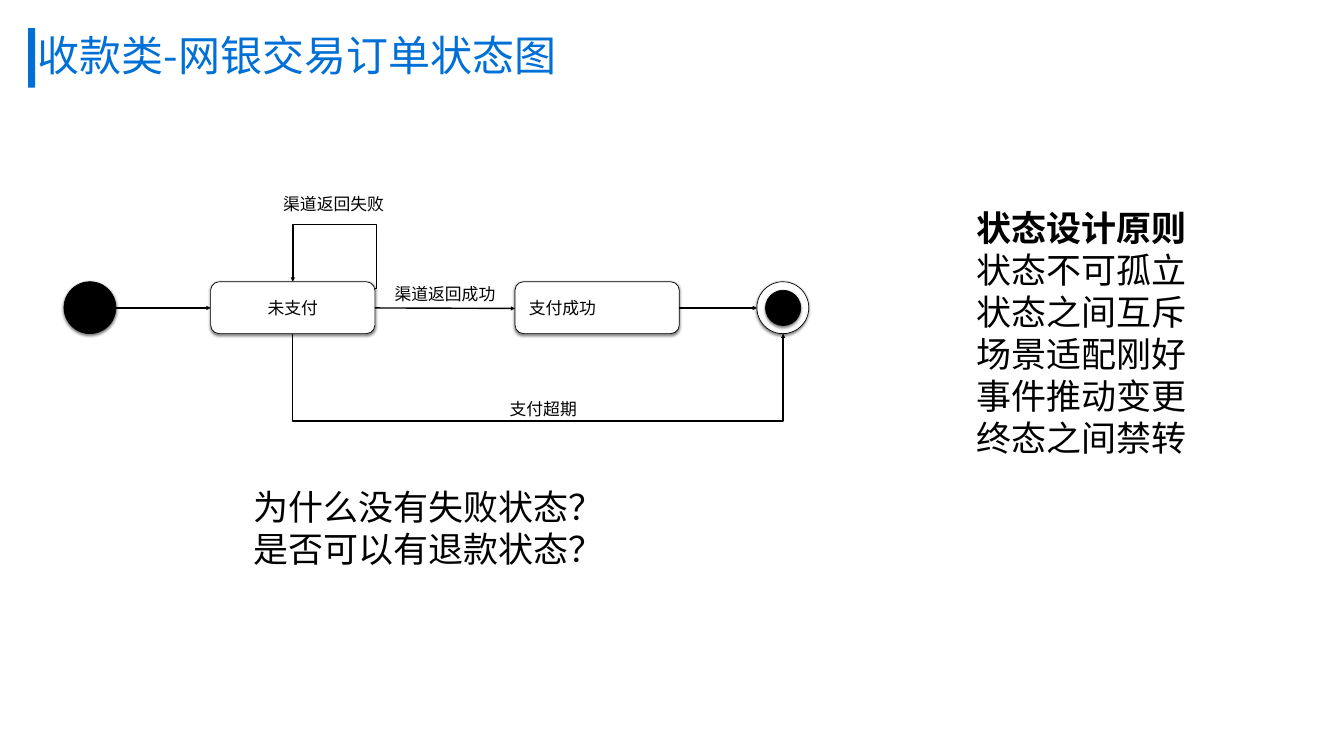
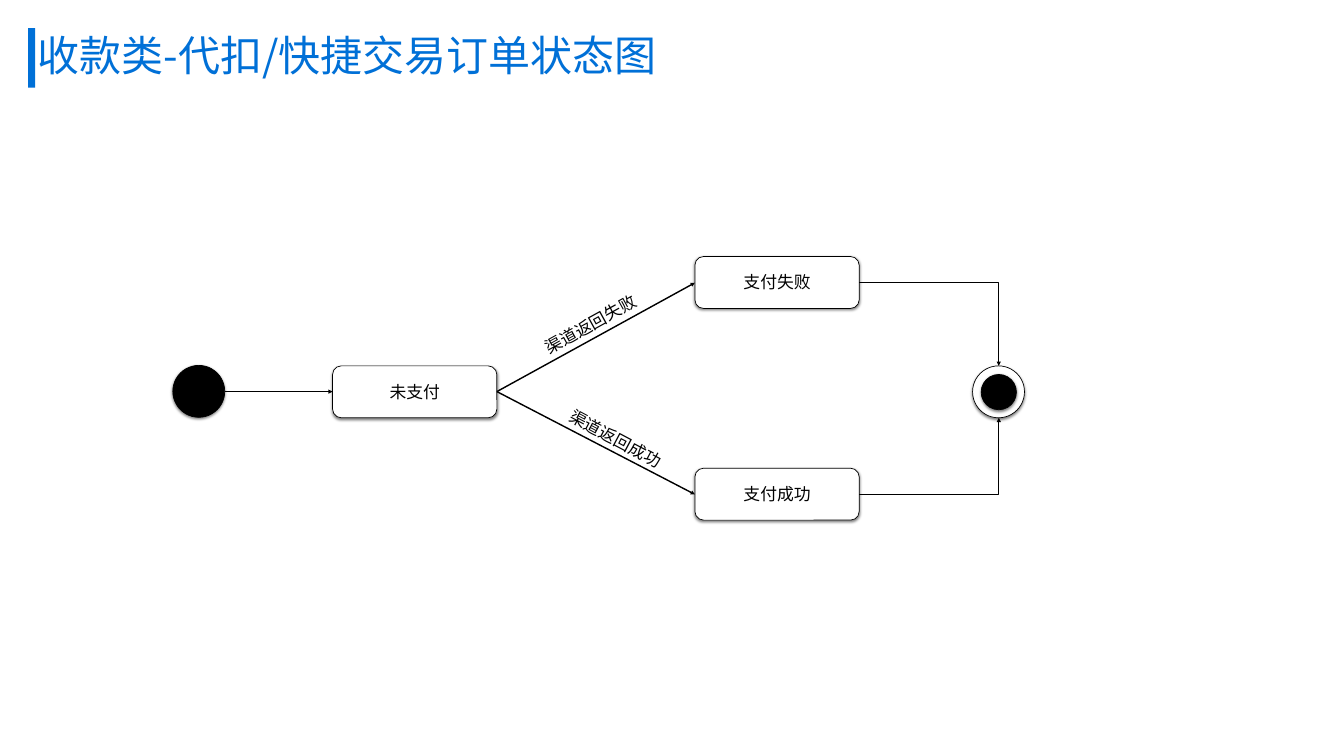
"""Builds two slides of payment order state diagrams."""
import pptx
import pptx.dml.color
import pptx.enum.shapes
import pptx.enum.text
import pptx.oxml
import pptx.oxml.ns
import pptx.util
from dataclasses import dataclass

PX = 9144
SHAPE = pptx.enum.shapes.MSO_SHAPE
CONNECTOR = pptx.enum.shapes.MSO_CONNECTOR
ANCHOR = pptx.enum.text.MSO_ANCHOR
ALIGN = pptx.enum.text.PP_ALIGN
qn = pptx.oxml.ns.qn


@dataclass(frozen=True)
class Theme:
    font: str = "Noto Sans CJK SC"
    accent: str = "0070D7"
    ink: str = "000000"
    paper: str = "FFFFFF"
    title: int = 60
    body: int = 50
    label: int = 24
    outline: int = 1
    arrow: int = 2


THEME = Theme()
SLIDE_SIZE = (2667, 1500)
BAR = (56, 56, 14, 118)
STATE_W, NODE_H, LABEL_H = 326, 103, 56
CORE = 70

SLIDES = [
    dict(
        title="收款类-网银交易订单状态图", title_w=1066,
        body=["状态设计原则", "状态不可孤立", "状态之间互斥", "场景适配刚好", "事件推动变更", "终态之间禁转"],
        body_box=(1855, 405, 584, 515),
        questions=["为什么没有失败状态？", "是否可以有退款状态？"],
        questions_box=(495, 955, 729, 184),
        states=[("未支付", 418, 559, 0), ("支付成功", 1022, 559, -69)],
        start=(127, 559), end=(1502, 559),
        arrows=[(744, 611, 1022, 612), (230, 611, 418, 611), (1348, 611, 1502, 611)],
        elbows=[
            dict(ends=(1068, 1149, 1067, 176), kind="bentConnector3", turn=90, adj=[-175]),
            dict(ends=(581, 559, 744, 573), kind="bentConnector4", turn=180, adj=[-0.02, 9.07]),
        ],
        labels=[("渠道返回成功", 720, 554, 0), ("支付超期", 915, 783, 0), ("渠道返回失败", 499, 377, 0)],
    ),
    dict(
        title="收款类-代扣/快捷交易订单状态图", title_w=1271,
        states=[("未支付", 660, 726, 0), ("支付成功", 1379, 929, 0), ("支付失败", 1379, 509, 0)],
        start=(343, 725), end=(1930, 726),
        arrows=[(446, 777, 660, 777), (986, 777, 1379, 561), (986, 777, 1379, 981)],
        elbows=[
            dict(ends=(1705, 561, 1982, 726), kind="bentConnector2"),
            dict(ends=(1705, 981, 1982, 829), kind="bentConnector2"),
        ],
        labels=[("渠道返回成功", 1059, 842, 27.9), ("渠道返回失败", 1009, 615, 331.1)],
    ),
]


def emu(values):
    return [pptx.util.Emu(v * PX) for v in values]


def rgb(value):
    return pptx.dml.color.RGBColor.from_string(value)


def xml(tag, **attrs):
    el = pptx.oxml.parse_xml(f'<{tag} {pptx.oxml.ns.nsdecls("a")}/>')
    for key, value in attrs.items():
        el.set(key, str(value))
    return el


def place(sp, box):
    sp.left, sp.top, sp.width, sp.height = emu(box)


def write(sp, lines, size, color=THEME.ink, align=ALIGN.LEFT, anchor=ANCHOR.TOP,
          inset=(8, 8), spacing=None, bold_first=False):
    tf = sp.text_frame
    tf.word_wrap = True
    tf.auto_size = pptx.enum.text.MSO_AUTO_SIZE.NONE
    tf.vertical_anchor = anchor
    tf.margin_left = tf.margin_right = inset[0] * PX
    tf.margin_top = tf.margin_bottom = inset[1] * PX
    for i, line in enumerate(lines):
        p = tf.paragraphs[0] if i == 0 else tf.add_paragraph()
        props = p._p.get_or_add_pPr()
        props.set("marL", "0")
        props.set("indent", "0")
        props.append(xml("a:buNone"))
        p.alignment = align
        p.space_before = pptx.util.Pt(0)
        if spacing:
            p.line_spacing = spacing
        r = p.add_run()
        r.text = line
        r.font.size = pptx.util.Pt(size)
        r.font.bold = bold_first and i == 0
        r.font.color.rgb = rgb(color)
        r.font.name = THEME.font
        r._r.get_or_add_rPr().append(xml("a:ea", typeface=THEME.font))


def add_node(s, kind, box, fill):
    sp = s.shapes.add_shape(kind, *emu(box))
    sp.fill.solid()
    sp.fill.fore_color.rgb = rgb(fill)
    sp.line.color.rgb = rgb(THEME.ink)
    sp.line.width = pptx.util.Pt(THEME.outline)
    sp.shadow.inherit = False
    shadow = xml("a:outerShdw", blurRad=50800, dist=25400, dir=5400000, rotWithShape=0)
    color = xml("a:srgbClr", val=THEME.ink)
    color.append(xml("a:alpha", val=50000))
    shadow.append(color)
    sp.element.spPr.find(qn("a:effectLst")).append(shadow)


def add_label(s, text, x, y, turn=0):
    sp = s.shapes.add_textbox(*emu((x, y, STATE_W, LABEL_H)))
    sp.rotation = turn
    write(sp, [text], THEME.label, align=ALIGN.CENTER, anchor=ANCHOR.MIDDLE)


def add_arrow(s, ends, kind="line", turn=0, adj=()):
    route = CONNECTOR.STRAIGHT if kind == "line" else CONNECTOR.ELBOW
    cn = s.shapes.add_connector(route, *emu(ends))
    cn.line.color.rgb = rgb(THEME.ink)
    cn.line.width = pptx.util.Pt(THEME.arrow)
    cn.line._get_or_add_ln().append(xml("a:tailEnd", type="triangle"))
    props = cn.element.spPr
    props.append(xml("a:effectLst"))
    if turn:
        props.find(qn("a:xfrm")).set("rot", str(turn * 60000))
    geom = props.find(qn("a:prstGeom"))
    geom.set("prst", kind)
    guides = geom.find(qn("a:avLst"))
    if guides is None:
        guides = xml("a:avLst")
        geom.append(guides)
    for i, ratio in enumerate(adj, 1):
        guides.append(xml("a:gd", name=f"adj{i}", fmla=f"val {round(ratio * 100000)}"))


def add_master_bar(prs, s):
    bar = s.shapes.add_shape(SHAPE.RECTANGLE, *emu(BAR))
    bar.fill.solid()
    bar.fill.fore_color.rgb = rgb(THEME.accent)
    bar.line.fill.background()
    bar.shadow.inherit = False
    prs.slide_master.shapes.element.append(bar.element)


def add_diagram(s, data):
    for name, x, y, shift in data["states"]:
        add_node(s, SHAPE.ROUNDED_RECTANGLE, (x, y, STATE_W, NODE_H), THEME.paper)
        add_label(s, name, x + shift, y + (NODE_H - LABEL_H) // 2)
    add_node(s, SHAPE.OVAL, (*data["start"], NODE_H, NODE_H), THEME.ink)
    x, y = data["end"]
    gap = (NODE_H - CORE + 1) // 2
    add_node(s, SHAPE.OVAL, (x, y, NODE_H, NODE_H), THEME.paper)
    add_node(s, SHAPE.OVAL, (x + gap, y + gap, CORE, CORE), THEME.ink)
    for ends in data["arrows"]:
        add_arrow(s, ends)
    for elbow in data["elbows"]:
        add_arrow(s, **elbow)
    for label in data["labels"]:
        add_label(s, *label)


def add_slide(prs, data):
    s = prs.slides.add_slide(prs.slide_layouts[1 if "body" in data else 5])
    place(s.shapes.title, (65, 59, data["title_w"], 111))
    write(s.shapes.title, [data["title"]], THEME.title, color=THEME.accent,
          inset=(10, 10), spacing=0.9)
    if "body" in data:
        body = s.placeholders[1]
        place(body, data["body_box"])
        write(body, data["body"], THEME.body, align=ALIGN.CENTER, inset=(10, 5), bold_first=True)
    if "questions" in data:
        box = s.shapes.add_textbox(*emu(data["questions_box"]))
        write(box, data["questions"], THEME.body, anchor=ANCHOR.MIDDLE)
    add_diagram(s, data)
    return s


def main():
    prs = pptx.Presentation()
    prs.slide_width, prs.slide_height = emu(SLIDE_SIZE)
    slides = [add_slide(prs, data) for data in SLIDES]
    add_master_bar(prs, slides[0])
    prs.save("out.pptx")


if __name__ == "__main__":
    main()
